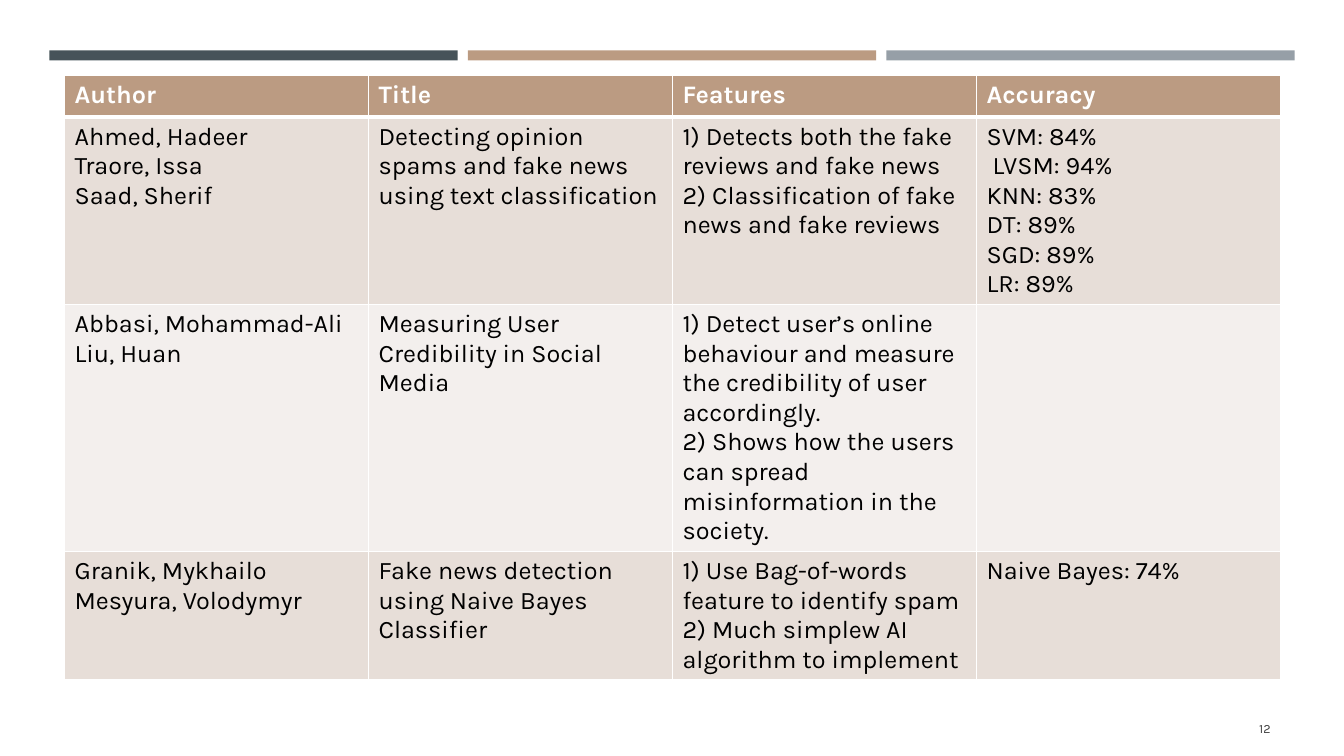
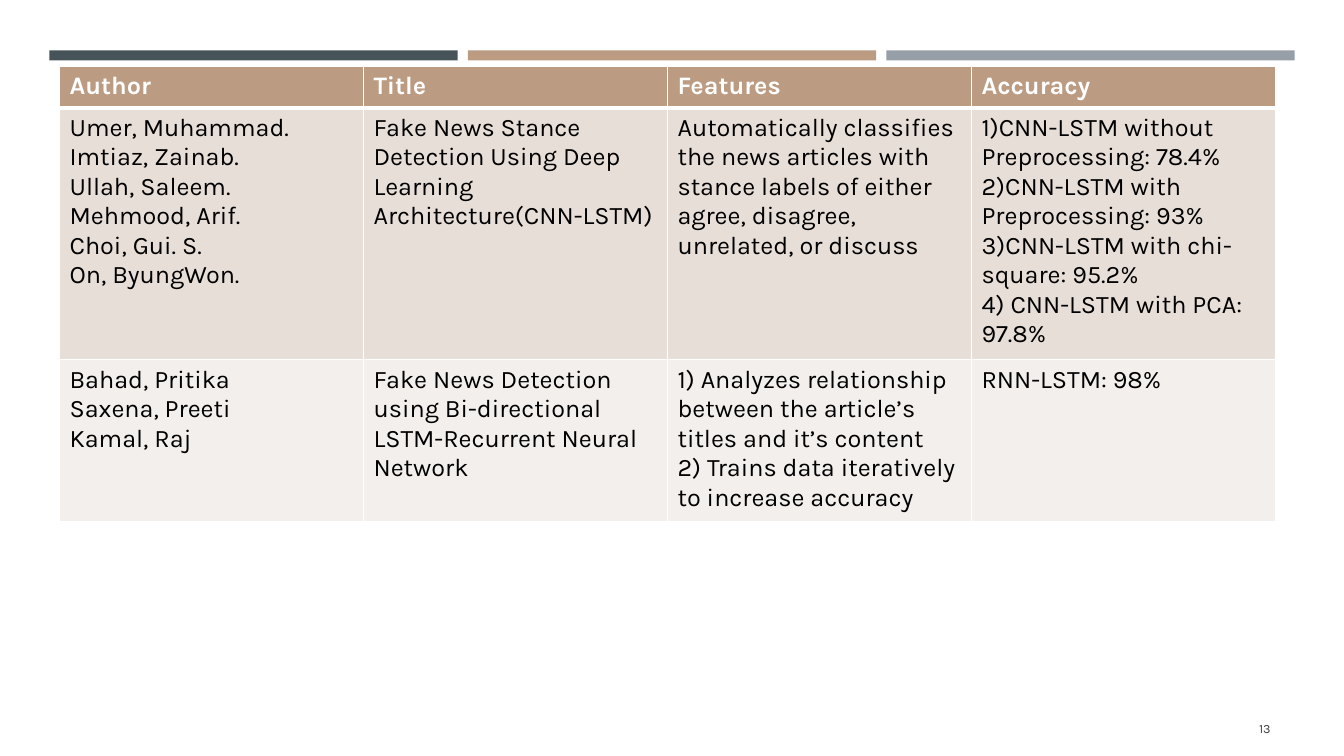
from lxml import etree
from pptx import Presentation
from pptx import util as u
from pptx.dml.color import RGBColor
from pptx.enum import shapes, text
from pptx.oxml.ns import qn

# Shared look
FONT = "Karla"
WHITE, BLACK, GREY = "FFFFFF", "000000", "404040"
SLATE, TAN, STEEL = "465359", "BB9B82", "969FA7"
ROW_FILLS = ["E7DED8", "F3EFED"]
HEADER = ["Author", "Title", "Features", "Accuracy"]
COL_W, HEADER_H = 3.015, 0.41
HEAD_FORMAT = {"size": u.Pt(18), "bold": True}
BODY_FORMAT = {"size": u.Pt(18), "bold": False}
NUMBER_FORMAT = {"size": u.Pt(9), "bold": False}

# Each cell is a list of paragraphs; each row starts with its height
SLIDES = [
    {"number": 12, "at": (0.64, 0.75), "rows": [
        (1.86, [
            ["Ahmed, Hadeer", "Traore, Issa", "Saad, Sherif"],
            ["Detecting opinion spams and fake news using text classification"],
            ["1) Detects both the fake reviews and fake news",
             "2) Classification of fake news and fake reviews"],
            ["SVM: 84%", " LVSM: 94%", "KNN: 83%", "DT: 89%", "SGD: 89%", "LR: 89%"],
        ]),
        (2.45, [
            ["Abbasi, Mohammad-Ali Liu, Huan"],
            ["Measuring User Credibility in Social Media"],
            ["1) Detect user’s online behaviour and measure the credibility "
             "of user accordingly.",
             "2) Shows how the users can spread misinformation in the society."],
            [],
        ]),
        (1.27, [
            ["Granik, Mykhailo", "Mesyura, Volodymyr"],
            ["Fake news detection using Naive Bayes Classifier"],
            ["1) Use Bag-of-words feature to identify spam",
             "2) Much simplew AI algorithm to implement"],
            ["Naive Bayes: 74%"],
        ]),
    ]},
    {"number": 13, "at": (0.59, 0.66), "rows": [
        (2.45, [
            ["Umer, Muhammad.", "Imtiaz, Zainab.", "Ullah, Saleem.",
             "Mehmood, Arif.", "Choi, Gui. S.", "On, ByungWon."],
            ["Fake News Stance Detection Using Deep Learning Architecture(CNN-LSTM)"],
            ["Automatically classifies the news articles with stance labels "
             "of either agree, disagree, unrelated, or discuss"],
            ["1)CNN-LSTM without Preprocessing: 78.4% "
             "2)CNN-LSTM with Preprocessing: 93% "
             "3)CNN-LSTM with chi-square: 95.2%",
             "4) CNN-LSTM with PCA: 97.8%"],
        ]),
        (1.57, [
            ["Bahad, Pritika", "Saxena, Preeti", "Kamal, Raj"],
            ["Fake News Detection using Bi-directional LSTM-Recurrent Neural Network"],
            ["1) Analyzes relationship between the article’s titles and it’s content",
             "2) Trains data iteratively to increase accuracy"],
            ["RNN-LSTM: 98%"],
        ]),
    ]},
]


def rgb(color):
    return RGBColor.from_string(color)


def write(tf, lines, color, fmt, align=text.PP_ALIGN.LEFT):
    """Fill a text frame, one paragraph per line."""
    for i, line in enumerate(lines):
        p = tf.add_paragraph() if i else tf.paragraphs[0]
        p.alignment = align
        r = p.add_run()
        r.text = line
        r.font.name = FONT
        r.font.color.rgb = rgb(color)
        for name, value in fmt.items():
            setattr(r.font, name, value)


def add_bands(s):
    """Three equal bands across the top of the slide."""
    for i, color in enumerate([SLATE, TAN, STEEL]):
        sp = s.shapes.add_shape(
            shapes.MSO_SHAPE.RECTANGLE, u.Inches(0.49 + i * 4.15), u.Inches(0.5),
            u.Inches(4.05), u.Inches(0.1))
        sp.shadow.inherit = False
        sp.fill.solid()
        sp.fill.fore_color.rgb = rgb(color)
        sp.line.fill.background()


def add_borders(cell, widths):
    """Draw white cell borders; widths maps a side to points."""
    tc_pr = cell._tc.get_or_add_tcPr()
    for side, width in widths.items():
        ln = etree.SubElement(tc_pr, qn("a:ln" + side), w=str(u.Pt(width)))
        fill = etree.SubElement(ln, qn("a:solidFill"))
        etree.SubElement(fill, qn("a:srgbClr"), val=WHITE)


def fill_cell(cell, lines, fill, color, fmt, top, bottom):
    add_borders(cell, {"L": 1, "R": 1, "T": top, "B": bottom})
    cell.fill.solid()
    cell.fill.fore_color.rgb = rgb(fill)
    write(cell.text_frame, lines, color, fmt)


def add_paper_table(s, at, rows):
    """Table of papers: tan header, then rows in alternating tints."""
    heights = [HEADER_H] + [height for height, _ in rows]
    table = s.shapes.add_table(
        len(heights), len(HEADER), u.Inches(at[0]), u.Inches(at[1]),
        u.Inches(COL_W * len(HEADER)), u.Inches(sum(heights))).table
    for col in table.columns:
        col.width = u.Inches(COL_W)
    for row, height in zip(table.rows, heights):
        row.height = u.Inches(height)
    for c, title in enumerate(HEADER):
        fill_cell(table.cell(0, c), [title], TAN, WHITE, HEAD_FORMAT, 1, 3)
    for i, (_, cells) in enumerate(rows):
        for c, lines in enumerate(cells):
            fill_cell(table.cell(i + 1, c), lines, ROW_FILLS[i % 2], BLACK,
                      BODY_FORMAT, 1 if i else 3, 1)


def add_slide_number(s, number):
    tf = s.shapes.add_textbox(
        u.Inches(11.55), u.Inches(7.03), u.Inches(1.15), u.Inches(0.4)).text_frame
    tf.word_wrap = True
    tf.vertical_anchor = text.MSO_ANCHOR.MIDDLE
    write(tf, [str(number)], GREY, NUMBER_FORMAT, text.PP_ALIGN.RIGHT)


def main():
    prs = Presentation()
    prs.slide_width, prs.slide_height = u.Inches(13.33), u.Inches(7.5)
    for content in SLIDES:
        s = prs.slides.add_slide(prs.slide_layouts[6])
        add_bands(s)
        add_paper_table(s, content["at"], content["rows"])
        add_slide_number(s, content["number"])
    prs.save("out.pptx")


if __name__ == "__main__":
    main()
